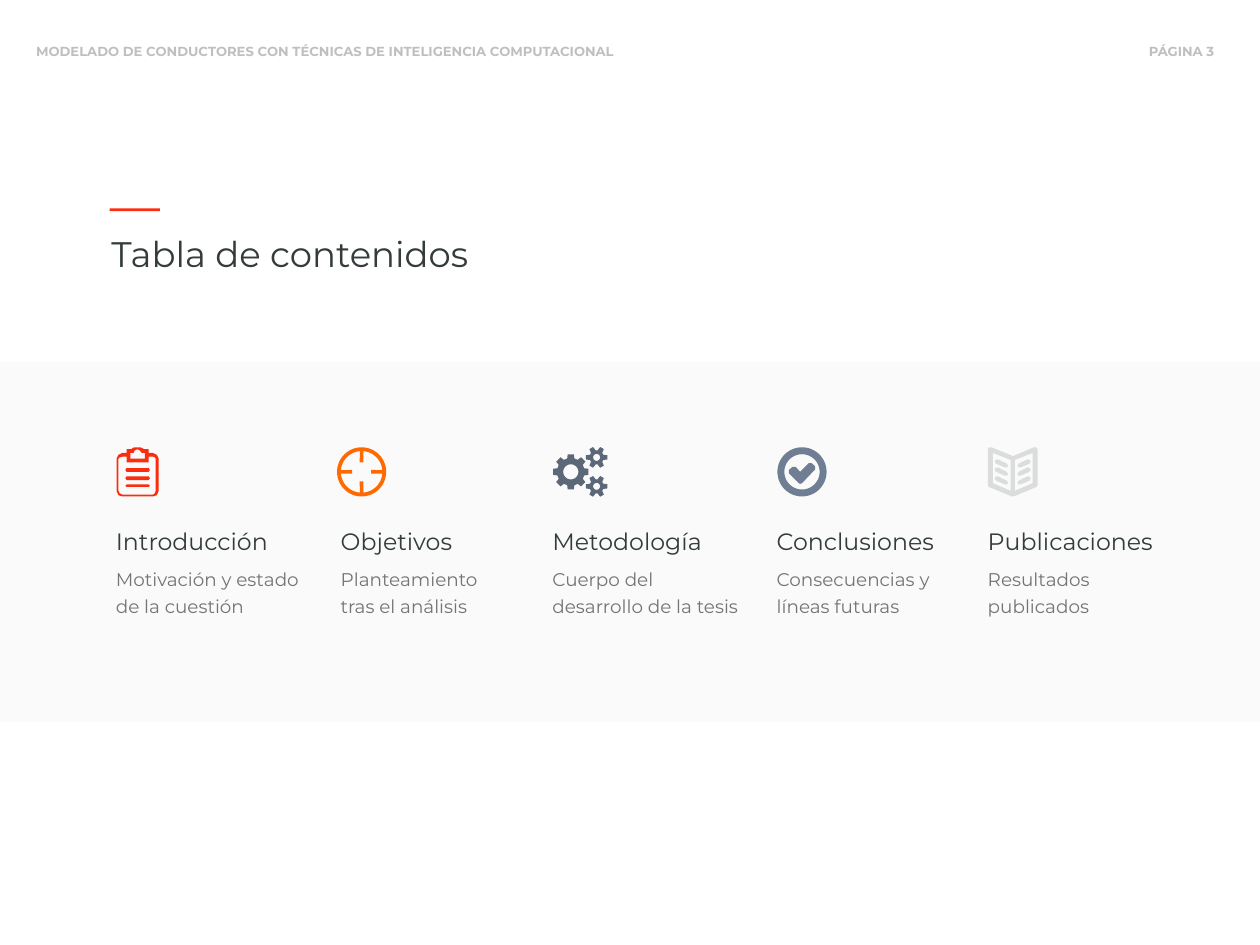
"""Build the table of contents slide with its five illustrated sections."""
from math import cos, radians, sin

from lxml.etree import SubElement
from pptx import Presentation
from pptx.dml.color import RGBColor
from pptx.enum.shapes import MSO_SHAPE
from pptx.enum.text import MSO_AUTO_SIZE, PP_ALIGN
from pptx.oxml.ns import qn
from pptx.util import Pt

PX = 9144
FONT = "Montserrat"
RED = RGBColor(0xFC, 0x2D, 0x0E)
ORANGE = RGBColor(0xFF, 0x69, 0x02)
SLATE = RGBColor(0x5C, 0x68, 0x78)
STEEL = RGBColor(0x6F, 0x7E, 0x92)
SILVER = RGBColor(0xDB, 0xDD, 0xDD)
INK = RGBColor(0x33, 0x3B, 0x3B)
GRAY = RGBColor(0x73, 0x75, 0x72)
HEADER_GRAY = RGBColor(0xBF, 0xBF, 0xBF)
BAND_GRAY = RGBColor(0xD9, 0xD9, 0xD9)


def add_text(shapes, text, left, top, width, height, size, color,
             bold=False, wrap=True, align=PP_ALIGN.LEFT, spacing=None, inset=(10, 5)):
    """Add a text box with one formatted paragraph."""
    box = shapes.add_textbox(left * PX, top * PX, width * PX, height * PX)
    frame = box.text_frame
    frame.word_wrap = wrap
    frame.auto_size = MSO_AUTO_SIZE.SHAPE_TO_FIT_TEXT
    frame.margin_left = frame.margin_right = inset[0] * PX
    frame.margin_top = frame.margin_bottom = inset[1] * PX
    para = frame.paragraphs[0]
    para.alignment = align
    para.line_spacing = spacing
    span = para.add_run()
    span.text = text
    span.font.name = FONT
    span.font.size = Pt(size)
    span.font.bold = bold
    span.font.color.rgb = color


def ring(center_x, center_y, profile, turns):
    """Repeat a profile of (radius, degrees) points evenly around a center."""
    return [(center_x + radius * cos(radians(angle + 360 * turn / turns)),
             center_y + radius * sin(radians(angle + 360 * turn / turns)))
            for turn in range(turns) for radius, angle in profile]


clipboard = [
    [(194, 719), (201, 719), (201, 713), (208, 713), (213, 710), (218, 710),
     (223, 710), (229, 713), (236, 713), (236, 719), (243, 719), (249, 722),
     (252, 728), (252, 779), (249, 786), (243, 788), (194, 788), (188, 786),
     (185, 779), (185, 728), (188, 722)],
    [(207, 719), (212, 719), (214, 715), (218, 713), (222, 715), (225, 719),
     (230, 719), (230, 728), (207, 728)],
    [(247, 779), (246, 783), (243, 785), (194, 785), (190, 783), (188, 779),
     (188, 728), (190, 726), (194, 725), (201, 725), (201, 734), (236, 734),
     (236, 725), (243, 725), (246, 726), (247, 728)],
]
for top, bottom in ((743, 749), (756, 762), (769, 773)):
    middle = (top + bottom) / 2
    clipboard.append([(201, top), (236, top), (238, middle),
                      (236, bottom), (201, bottom), (199, middle)])

quadrant = [(15.3, -11.3), (15.3, 11.3)] + [(33, angle) for angle in range(5, 86, 5)]
target = [ring(574, 749, [(39, 0)], 72), ring(574, 749, quadrant, 4)]

gears = [ring(906, 749, [(28.3, -10), (28.3, 10), (22, 15), (22, 30)], 8),
         ring(906, 749, [(12, 0)], 48)]
for center_y in (726, 772):
    gears.append(ring(947, center_y, [(17.4, -11), (17.4, 11), (11.3, 22), (11.3, 38)], 6))
    gears.append(ring(947, center_y, [(5.5, 0)], 36))

check = [
    ring(1273, 749, [(39, 0)], 72),
    ring(1273, 749, [(28, 0)], 72),
    [(1273, 767), (1270, 768), (1268, 767), (1252, 751), (1252, 746), (1258, 741),
     (1263, 741), (1270, 749), (1284, 735), (1288, 735), (1294, 740), (1294, 745)],
]

book = [[(1645, 773), (1609, 788), (1606, 788), (1570, 773), (1568, 770), (1568, 713),
         (1570, 710), (1574, 710), (1608, 724), (1641, 710), (1645, 710), (1647, 713),
         (1647, 770)]]
right_page = [[(1639, 719), (1611, 730), (1611, 779), (1639, 767)]]
strip = [(1617, 736), (1631, 729), (1635, 730), (1636, 733),
         (1634, 736), (1620, 742), (1616, 742), (1615, 739)]
right_page += [[(x, y + drop) for x, y in strip] for drop in (0, 13, 27)]
for outline in right_page:
    book += [outline, [(3215 - x, y) for x, y in outline]]

deck = Presentation()
deck.slide_width = 2000 * PX
deck.slide_height = 1500 * PX
page = deck.slides.add_slide(deck.slide_layouts[6])

for text, left, width in (
        ("PÁGINA 3", 1793, 165),
        ("MODELADO DE CONDUCTORES CON TÉCNICAS DE INTELIGENCIA COMPUTACIONAL", 36, 960)):
    add_text(page.shapes, text, left, 61, width, 40, 15, HEADER_GRAY,
             bold=True, wrap=False, align=PP_ALIGN.CENTER, inset=(15, 8))

for left, top, width, height, color, opacity in (
        (0, 574, 2000, 571, BAND_GRAY, 13), (174, 331, 80, 4, RED, 100)):
    bar = page.shapes.add_shape(MSO_SHAPE.RECTANGLE, left * PX, top * PX, width * PX, height * PX)
    bar.shadow.inherit = False
    bar.line.fill.background()
    bar.fill.solid()
    bar.fill.fore_color.rgb = color
    if opacity < 100:
        tint = bar.fill._xPr.find(qn("a:solidFill"))[0]
        SubElement(tint, qn("a:alpha"), val=str(opacity * 1000))

add_text(page.shapes, "Tabla de contenidos", 167, 363, 595, 78, 40.5, INK, wrap=False)

sections = (
    ("Introducción", "Motivación y estado de la cuestión", 174, 296, 317, clipboard, RED),
    ("Objetivos", "Planteamiento tras el análisis", 531, 201, 295, target, ORANGE),
    ("Metodología", "Cuerpo del desarrollo de la tesis", 867, 296, 316, gears, SLATE),
    ("Conclusiones", "Consecuencias y líneas futuras", 1223, 271, 295, check, STEEL),
    ("Publicaciones", "Resultados publicados", 1558, 296, 295, book, SILVER),
)
for title, detail, left, title_width, detail_width, outlines, color in sections:
    section = page.shapes.add_group_shape()
    add_text(section.shapes, title, left, 834, title_width, 54, 27, INK, spacing=Pt(30.6))
    add_text(section.shapes, detail, left, 890, detail_width, 93, 21, GRAY, spacing=Pt(30.6))
    builder = section.shapes.build_freeform(*outlines[0][0], scale=PX)
    builder = section.shapes.build_freeform(outlines[0][0][0] * PX, outlines[0][0][1] * PX)
    for index, outline in enumerate(outlines):
        points = [(x * PX, y * PX) for x, y in outline]
        if index:
            builder.move_to(*points[0])
        builder.add_line_segments(points[1:], close=True)
    icon = builder.convert_to_shape()
    icon.shadow.inherit = False
    icon.line.fill.background()
    icon.fill.solid()
    icon.fill.fore_color.rgb = color

deck.save("out.pptx")
